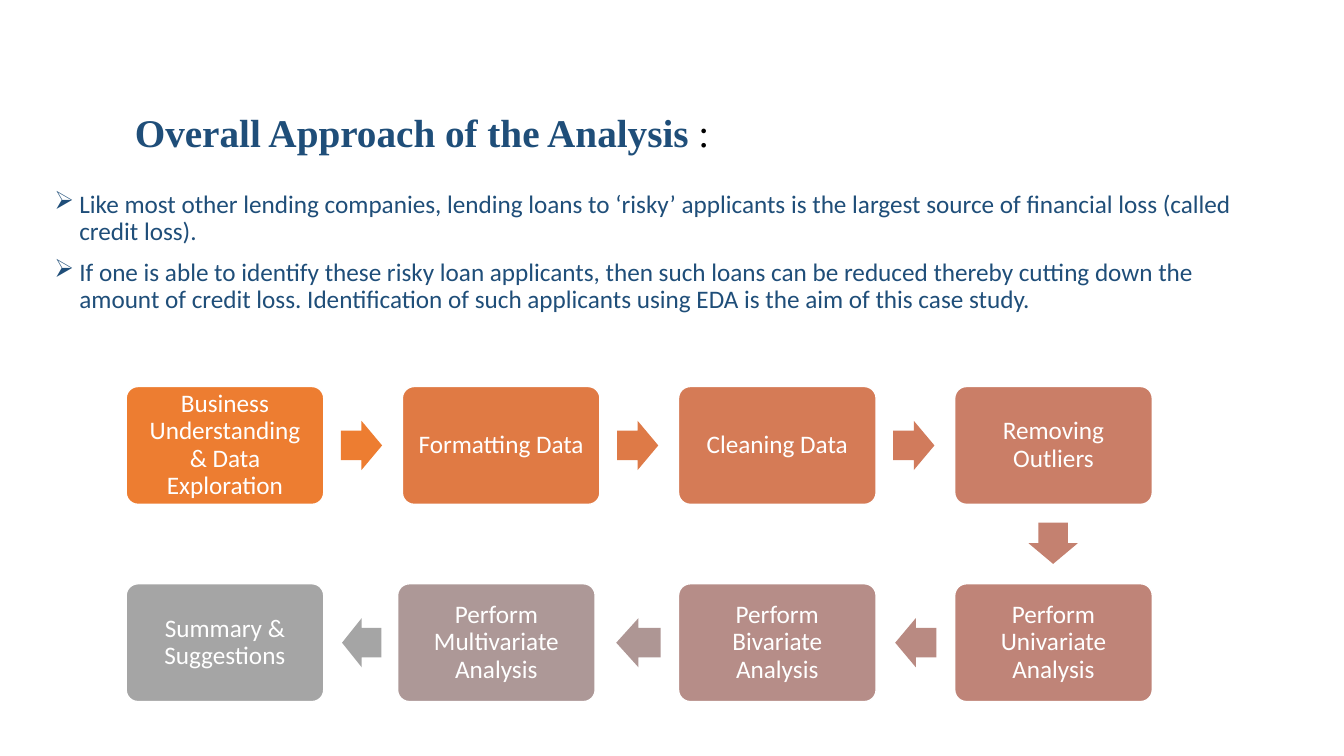
from dataclasses import dataclass

from lxml import etree
from pptx import Presentation
from pptx.dml import color
from pptx.enum import shapes, text
from pptx.oxml import ns
from pptx.util import Cm, Pt


@dataclass(frozen=True)
class Theme:
    navy: str = "1F4E79"
    black: str = "000000"
    white: str = "FFFFFF"
    steps: tuple = ("ED7D31", "E07A44", "D57B56", "CA7E67",
                    "BF8478", "B68D88", "AD9897", "A5A5A5")
    arrows: tuple = ("ED7D31", "DE7A47", "D17B5C", "C48170",
                     "B98A82", "AE9694", "A5A5A5")
    head: int = 28
    body: int = 18
    serif: str = "Times New Roman"
    sans: str = "Calibri"


THEME = Theme()

TITLE = "Overall Approach of the Analysis "
POINTS = (
    "Like most other lending companies, lending loans to ‘risky’ applicants "
    "is the largest source of financial loss (called credit loss).",
    "If one is able to identify these risky loan applicants, then such loans "
    "can be reduced thereby cutting down the amount of credit loss. "
    "Identification of such applicants using EDA is the aim of this case study.",
)
STEPS = (
    ("Business Understanding & Data Exploration", 0, 0),
    ("Formatting Data", 6.96, 0),
    ("Cleaning Data", 13.92, 0),
    ("Removing Outliers", 20.88, 0),
    ("Perform Univariate Analysis", 20.88, 4.97),
    ("Perform Bivariate Analysis", 13.92, 4.97),
    ("Perform Multivariate Analysis", 6.84, 4.97),
    ("Summary & Suggestions", 0, 4.97),
)
CARD_W, CARD_H = 4.98, 2.97
ARROW_W, ARROW_H = 1.04, 1.24
MID = (CARD_H - ARROW_H) / 2
ARROWS = (
    (5.41, MID, ARROW_W, 0),
    (5.41, MID, ARROW_W, 0),
    (5.41, MID, ARROW_W, 0),
    (1.96, 3.33, ARROW_W, 90),
    (-1.5, MID, ARROW_W, 180),
    (-1.57, MID, 1.12, 180),
    (-1.4, MID, 0.99, 180),
)


def style(run, size, face, tint, bold=False):
    font = run.font
    font.size, font.name, font.bold = Pt(size), face, bold
    font.color.rgb = color.RGBColor.from_string(tint)


def add_box(slide, box):
    frame = slide.shapes.add_textbox(*map(Cm, box)).text_frame
    frame.word_wrap = True
    return frame


def add_block(slide, kind, box, tint, adjust):
    block = slide.shapes.add_shape(kind, *map(Cm, box))
    block.shadow.inherit = False
    block.fill.solid()
    block.fill.fore_color.rgb = color.RGBColor.from_string(tint)
    for spot, value in enumerate(adjust):
        block.adjustments[spot] = value
    return block


def add_title(slide, box):
    frame = add_box(slide, box)
    frame.vertical_anchor = text.MSO_ANCHOR.MIDDLE
    frame.text = TITLE
    para = frame.paragraphs[0]
    para.line_spacing = 0.9
    style(para.runs[0], THEME.head, THEME.serif, THEME.navy, True)
    colon = para.add_run()
    colon.text = ":"
    style(colon, THEME.head, THEME.serif, THEME.black)


def add_points(slide, box):
    frame = add_box(slide, box)
    frame.text = "\n".join(POINTS)
    for para in frame.paragraphs:
        para.line_spacing = 0.9
        para.space_before = Pt(10)
        style(para.runs[0], THEME.body, THEME.sans, THEME.navy)
        props = para._p.get_or_add_pPr()
        props.set("marL", str(Cm(0.63)))
        props.set("indent", str(-Cm(0.63)))
        etree.SubElement(props, ns.qn("a:buChar"), char="➢")


def add_card(slide, label, box, tint):
    card = add_block(slide, shapes.MSO_SHAPE.ROUNDED_RECTANGLE, box, tint, (0.1,))
    card.line.color.rgb = color.RGBColor.from_string(THEME.white)
    card.line.width = Pt(1)
    frame = card.text_frame
    frame.word_wrap = True
    frame.vertical_anchor = text.MSO_ANCHOR.MIDDLE
    frame.margin_left = frame.margin_right = Cm(0.26)
    frame.margin_top = frame.margin_bottom = Cm(0.26)
    frame.text = label
    para = frame.paragraphs[0]
    para.alignment = text.PP_ALIGN.CENTER
    para.line_spacing = 0.9
    style(para.runs[0], THEME.body, THEME.sans, THEME.white)


def add_arrow(slide, box, tint, turn):
    arrow = add_block(slide, shapes.MSO_SHAPE.RIGHT_ARROW, box, tint, (0.6, 0.5))
    arrow.line.fill.background()
    arrow.rotation = turn


def add_flow(slide, left, top):
    for (label, dx, dy), tint in zip(STEPS, THEME.steps):
        add_card(slide, label, (left + dx, top + dy, CARD_W, CARD_H), tint)
    for step, arrow, tint in zip(STEPS, ARROWS, THEME.arrows):
        dx, dy, width, turn = arrow
        box = (left + step[1] + dx, top + step[2] + dy, width, ARROW_H)
        add_arrow(slide, box, tint, turn)


def main():
    deck = Presentation()
    deck.slide_width, deck.slide_height = Cm(33.87), Cm(19.05)
    slide = deck.slides.add_slide(deck.slide_layouts[6])
    add_points(slide, (1.12, 4.7, 31.01, 3.78))
    add_flow(slide, 3.18, 9.74)
    add_title(slide, (3.15, 2.51, 25.88, 1.78))
    deck.save("out.pptx")


if __name__ == "__main__":
    main()
